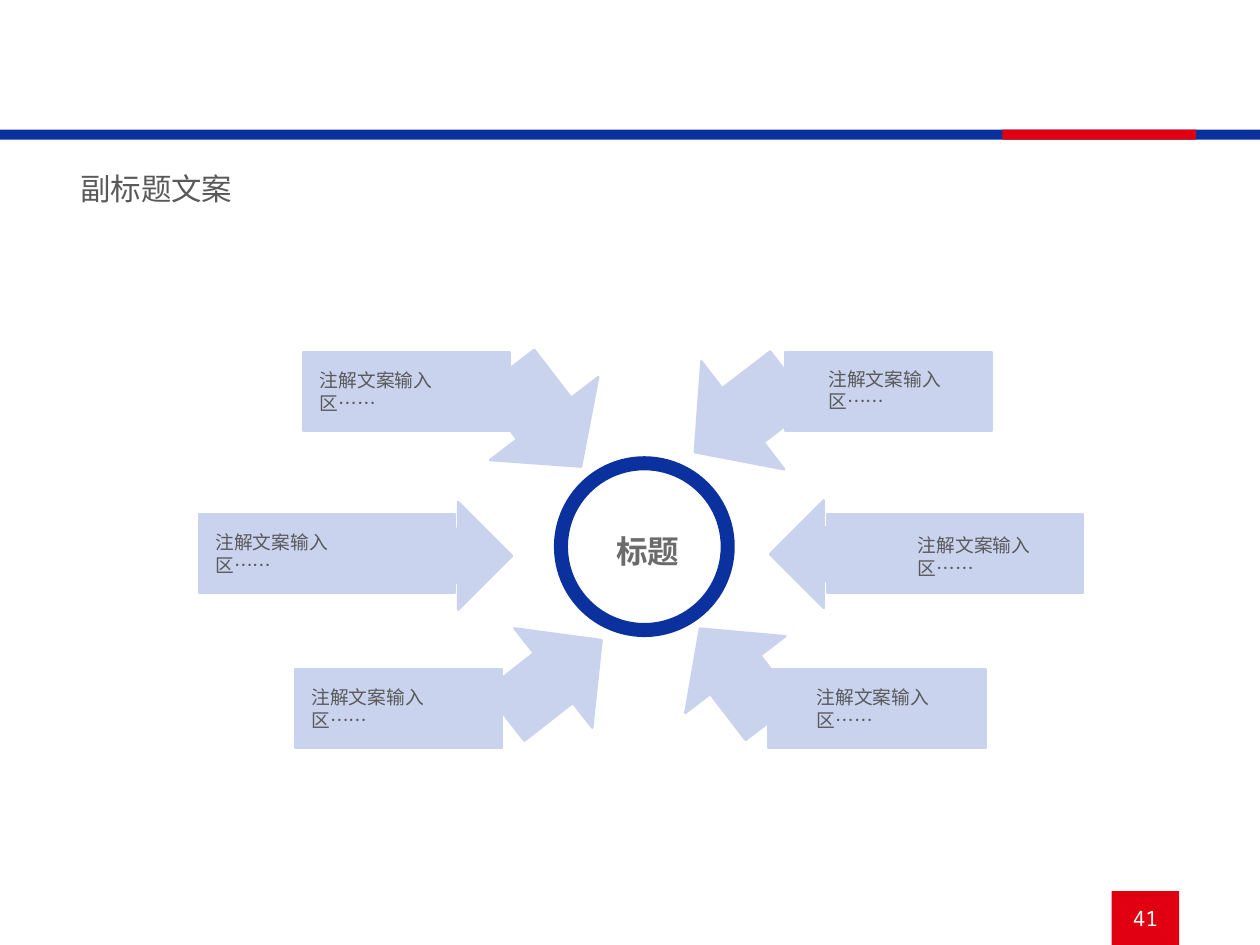
import pptx
import pptx.util
import pptx.dml.color
import pptx.enum.shapes
import pptx.enum.text

Inches = pptx.util.Inches
RGBColor = pptx.dml.color.RGBColor
SHAPE = pptx.enum.shapes.MSO_SHAPE
ANCHOR = pptx.enum.text.MSO_ANCHOR
ALIGN = pptx.enum.text.PP_ALIGN

BLUE = RGBColor(0x0A, 0x31, 0x9D)
RED = RGBColor(0xE1, 0x00, 0x11)
PALE = RGBColor(0xC9, 0xD3, 0xEE)
DARK = RGBColor(0x59, 0x59, 0x59)
GRAY = RGBColor(0x6B, 0x6B, 0x6B)
WHITE = RGBColor(0xFF, 0xFF, 0xFF)
SANS = "Noto Sans CJK SC"
MONO = "Noto Sans Mono"
NOTE = "注解文案输入区……"

# Each branch: arrow box, arrow angle, bar box, note box
BRANCHES = [
    ((2.87, 2.08, 0.72, 0.81), 52.5, (1.8, 2.09, 1.23, 0.47), (1.8, 2.14, 1.01, 0.37)),
    ((2.34, 2.98, 0.7, 0.64), 0, (1.18, 3.05, 1.52, 0.47), (1.18, 3.1, 1.09, 0.37)),
    ((2.92, 3.65, 0.73, 0.75), 321.9, (1.75, 3.97, 1.23, 0.47), (1.75, 4.02, 1.05, 0.37)),
    ((4.05, 2.06, 0.72, 0.81), 142.5, (4.66, 2.09, 1.23, 0.47), (4.82, 2.13, 1.07, 0.37)),
    ((4.57, 2.97, 0.7, 0.64), 180, (4.91, 3.05, 1.52, 0.47), (5.35, 3.12, 1.08, 0.37)),
    ((4.02, 3.63, 0.69, 0.75), 232.5, (4.56, 3.97, 1.29, 0.47), (4.75, 4.02, 1.09, 0.37)),
]


def add_shape(slide, kind, box, fill=None, line=None, width=1, angle=0):
    shape = slide.shapes.add_shape(kind, *map(Inches, box))
    shape.shadow.inherit = False
    shape.rotation = angle
    if fill is None:
        shape.fill.background()
    else:
        shape.fill.solid()
        shape.fill.fore_color.rgb = fill
    if line is None:
        shape.line.fill.background()
    else:
        shape.line.color.rgb = line
        shape.line.width = pptx.util.Pt(width)
    return shape


def add_text(slide, box, text, size, color, face=SANS, bold=False,
             wrap=True, anchor=ANCHOR.TOP, align=ALIGN.LEFT):
    frame = slide.shapes.add_textbox(*map(Inches, box)).text_frame
    frame.word_wrap = wrap
    frame.vertical_anchor = anchor
    frame.text = text
    para = frame.paragraphs[0]
    para.alignment = align
    font = para.runs[0].font
    font.size = pptx.util.Pt(size)
    font.bold = bold
    font.color.rgb = color
    font.name = face
    # East Asian glyphs take their face from a:ea
    props = para.runs[0]._r.get_or_add_rPr()
    east = props.makeelement(pptx.oxml.ns.qn("a:ea"), {"typeface": face})
    props.append(east)


def add_branch(slide, arrow, angle, bar, note):
    add_shape(slide, SHAPE.RIGHT_ARROW, arrow, PALE, PALE, angle=angle)
    add_shape(slide, SHAPE.RECTANGLE, bar, PALE, PALE)
    add_text(slide, note, NOTE, 8, DARK, anchor=ANCHOR.MIDDLE)


def main():
    deck = pptx.Presentation()
    deck.slide_width = Inches(7.48)
    deck.slide_height = Inches(5.61)
    slide = deck.slides.add_slide(deck.slide_layouts[6])

    # Header band and subtitle
    add_shape(slide, SHAPE.RECTANGLE, (0, 0.77, 7.48, 0.06), BLUE)
    add_shape(slide, SHAPE.RECTANGLE, (5.95, 0.77, 1.15, 0.06), RED)
    add_text(slide, (0.38, 0.96, 1.58, 0.33), "副标题文案", 13, DARK)

    # Six branches that point at the hub
    for branch in BRANCHES:
        add_branch(slide, *branch)

    # Hub ring and title
    add_shape(slide, SHAPE.OVAL, (3.33, 2.75, 0.99, 0.99), line=BLUE, width=6)
    add_text(slide, (3.56, 3.11, 0.58, 0.33), "标题", 13.5, GRAY,
             bold=True, wrap=False)

    # Page number
    badge = (6.6, 5.29, 0.4, 0.32)
    add_shape(slide, SHAPE.RECTANGLE, badge, RED)
    add_text(slide, badge, "41", 9, WHITE, face=MONO,
             anchor=ANCHOR.MIDDLE, align=ALIGN.CENTER)

    deck.save("out.pptx")


if __name__ == "__main__":
    main()
